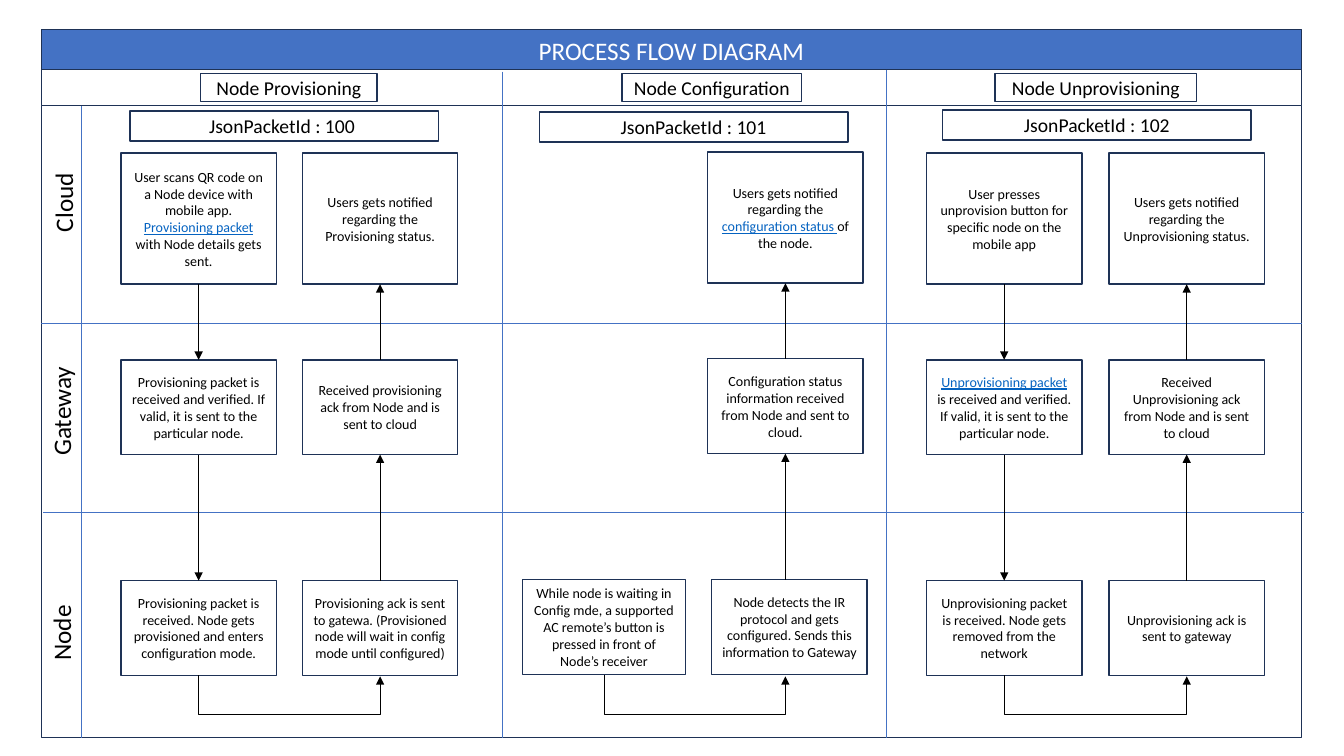
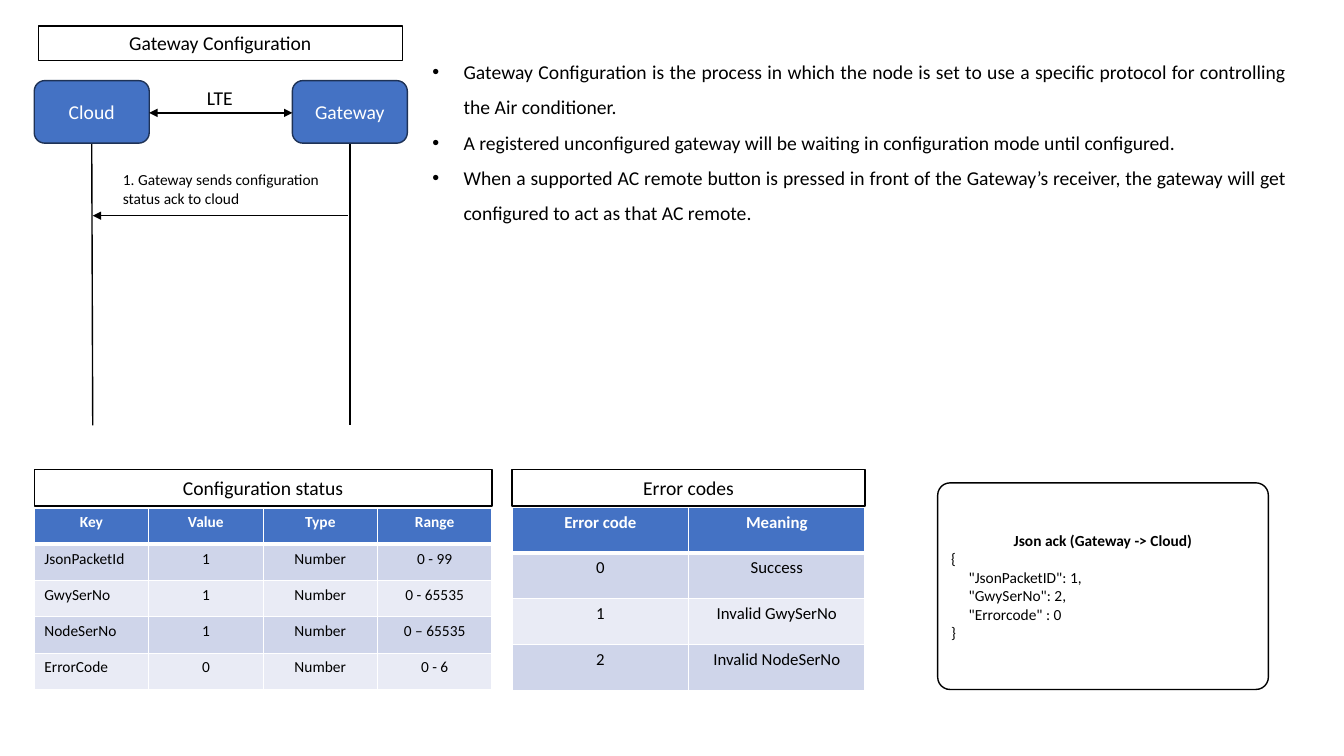
from dataclasses import dataclass
from typing import NamedTuple, Optional

from lxml.etree import SubElement
from pptx import Presentation
from pptx.dml.color import RGBColor
from pptx.enum.shapes import MSO_CONNECTOR as Link, MSO_SHAPE as Shape
from pptx.enum.text import MSO_ANCHOR as Anchor, PP_ALIGN as Align
from pptx.oxml.ns import qn
from pptx.util import Inches, Pt

FONT = "Calibri"
COLORS = {
    "blue": "4472C4", "navy": "1E3256", "black": "000000", "white": "FFFFFF",
    "link": "0563C1", "band": "CFD5EA", "pale": "E9EBF5",
}


class Span(NamedTuple):
    text: str
    linked: bool = False


class Area(NamedTuple):
    left: float
    top: float
    width: float
    height: float


@dataclass
class Step:
    lane: str
    left: float
    spans: list[Span]
    width: float = 1.54


@dataclass
class Flow:
    title: str
    title_left: float
    title_width: float
    packet: str
    packet_left: float
    packet_top: float
    shift: float  # vertical offset of the steps
    down_x: float
    up_x: float
    has_down: bool
    steps: list[Step]


@dataclass
class Grid:
    title: str
    left: float
    top: float
    column: float
    row: float
    size: int
    rows: list[list[str]]
    left_keys: bool


# Shared drawing helpers
def rgb(name: str) -> RGBColor:
    return RGBColor.from_string(COLORS[name])


def lengths(values) -> list:
    return [Inches(value) for value in values]


def add_span(para, text: str, size: int, color: str = "black", bold: bool = False,
             underline: bool = False) -> None:
    run = para.add_run()
    run.text = text
    font = run.font
    font.name, font.size, font.bold = FONT, Pt(size), bold
    font.color.rgb = rgb(color)
    if underline:
        font.underline = True


def write(para, spans: list[Span], size: int, color: str = "black", align=Align.CENTER) -> None:
    para.alignment = align
    for span in spans:
        add_span(para, span.text, size, "link" if span.linked else color,
                 underline=span.linked)


def add_box(page, area: Area, spans: list[Span], size: int = 14, fill: str = "white",
            line: str = "navy", color: str = "black", kind=Shape.RECTANGLE):
    box = page.shapes.add_shape(kind, *lengths(area))
    box.shadow.inherit = False
    box.fill.solid()
    box.fill.fore_color.rgb = rgb(fill)
    box.line.color.rgb = rgb(line)
    box.line.width = Pt(1)
    box.text_frame.word_wrap = True
    box.text_frame.vertical_anchor = Anchor.MIDDLE
    write(box.text_frame.paragraphs[0], spans, size, color)
    return box


def add_label(page, area: Area, text: str, size: int, align=Align.CENTER):
    box = page.shapes.add_textbox(*lengths(area))
    box.text_frame.word_wrap = True
    write(box.text_frame.paragraphs[0], [Span(text)], size, align=align)
    return box


def add_line(page, start: tuple, end: tuple, color: str = "black", width: float = 0.5,
             head: bool = False, tail: bool = False, kind=Link.STRAIGHT):
    line = page.shapes.add_connector(kind, *lengths(start + end))
    line.line.color.rgb = rgb(color)
    line.line.width = Pt(width)
    properties = line._element.spPr
    outline = properties.find(qn("a:ln"))
    for tag, wanted in (("a:headEnd", head), ("a:tailEnd", tail)):
        if wanted:
            SubElement(outline, qn(tag)).set("type", "triangle")
    SubElement(properties, qn("a:effectLst"))
    return line


def add_u_turn(page, left: float, right: float, top: float) -> None:
    """Arrow that drops below two steps and rises into the right one."""
    rise, drop = 0.01, 0.39
    middle_x, middle_y, half = (left + right) / 2, top + rise / 2, (right - left) / 2
    turn = add_line(page, (middle_x + rise / 2, middle_y - half),
                    (middle_x - rise / 2, middle_y + half), tail=True, kind=Link.ELBOW)
    properties = turn._element.spPr
    properties.find(qn("a:xfrm")).set("rot", str(270 * 60000))
    geometry = properties.find(qn("a:prstGeom"))
    values = geometry.find(qn("a:avLst"))
    if values is None:
        values = SubElement(geometry, qn("a:avLst"))
    guide = SubElement(values, qn("a:gd"))
    guide.set("name", "adj1")
    guide.set("fmla", f"val {round(drop / rise * 100000)}")


def add_borders(cell, header: bool) -> None:
    properties = cell._tc.get_or_add_tcPr()
    for side in "LRTB":
        width = 3 if header and side == "B" else 1
        border = SubElement(properties, qn(f"a:ln{side}"))
        border.set("w", str(Pt(width)))
        fill = SubElement(border, qn("a:solidFill"))
        SubElement(fill, qn("a:srgbClr")).set("val", COLORS["white"])


def add_grid(page, grid: Grid) -> None:
    row_count, column_count = len(grid.rows), len(grid.rows[0])
    width = grid.column * column_count
    area = Area(grid.left, grid.top, width, grid.row * row_count)
    table = page.shapes.add_table(row_count, column_count, *lengths(area)).table
    for row, texts in enumerate(grid.rows):
        header = row == 0
        fill = "blue" if header else ("pale", "band")[row % 2]
        for column, text in enumerate(texts):
            cell = table.cell(row, column)
            add_borders(cell, header)
            cell.fill.solid()
            cell.fill.fore_color.rgb = rgb(fill)
            para = cell.text_frame.paragraphs[0]
            keyed = grid.left_keys and column == 0 and not header
            para.alignment = Align.LEFT if keyed else Align.CENTER
            add_span(para, text, grid.size, "white" if header else "black", header)
    add_box(page, Area(grid.left, 4.66, width, 0.36), [Span(grid.title)], line="black")


# Process flow content
LANES = {"Cloud": (1.52, 1.3), "Gateway": (3.57, 0.94), "Node": (5.76, 0.94)}
LANE_LABELS = {"Cloud": (-0.1, 1.81), "Gateway": (-0.12, 3.88), "Node": (-0.12, 6.08)}
FLOWS = [
    Flow("Node Provisioning", 1.99, 1.75, "JsonPacketId : 100 ", 1.29, 1.1, 0, 1.97, 3.77, True, [
        Step("Cloud", 1.2, [Span("User scans QR code on a Node device with mobile app. "),
                            Span("Provisioning packet ", True),
                            Span("with Node details gets sent.")]),
        Step("Gateway", 1.2, [Span("Provisioning packet is received and verified. If valid, "
                                   "it is sent to the particular node.")]),
        Step("Node", 1.2, [Span("Provisioning packet is received. Node gets provisioned and "
                                "enters configuration mode.")]),
        Step("Node", 3, [Span("Provisioning ack is sent to gatewa. (Provisioned node will "
                              "wait in config mode until configured)")]),
        Step("Gateway", 3, [Span("Received provisioning ack from Node and is sent to cloud")]),
        Step("Cloud", 3, [Span("Users gets notified regarding the Provisioning status.")]),
    ]),
    Flow("Node Configuration", 6.17, 1.78, "JsonPacketId : 101", 5.35, 1.11, -0.01, 5.99, 7.79,
         False, [
             Step("Node", 5.18, [Span("While node is waiting in Config mde, a supported AC "
                                      "remote’s button is pressed in front of Node’s "
                                      "receiver")], 1.62),
             Step("Node", 7.06, [Span("Node detects the IR protocol and gets configured. Sends "
                                      "this information to Gateway")]),
             Step("Gateway", 7.02, [Span("Configuration status information received from Node "
                                         "and sent to cloud.")]),
             Step("Cloud", 7.02, [Span("Users gets notified regarding the "),
                                  Span("configuration status ", True), Span("of the node.")]),
         ]),
    Flow("Node Unprovisioning", 9.87, 2, "JsonPacketId : 102", 9.35, 1.09, 0, 9.96, 11.77, True, [
        Step("Cloud", 9.19, [Span("User presses unprovision button for specific node on the "
                                  "mobile app")]),
        Step("Gateway", 9.19, [Span("Unprovisioning packet ", True),
                               Span("is received and verified. If valid, it is sent to the "
                                    "particular node.")]),
        Step("Node", 9.19, [Span("Unprovisioning packet is received. Node gets removed from "
                                 "the network")]),
        Step("Node", 11, [Span("Unprovisioning ack is sent to gateway")]),
        Step("Gateway", 11, [Span("Received Unprovisioning ack from Node and is sent to cloud")]),
        Step("Cloud", 11, [Span("Users gets notified regarding the Unprovisioning status.")]),
    ]),
]


def add_flow(page, flow: Flow) -> None:
    add_box(page, Area(flow.title_left, 0.73, flow.title_width, 0.28), [Span(flow.title)])
    add_box(page, Area(flow.packet_left, flow.packet_top, 3.06, 0.3), [Span(flow.packet)])
    for step in flow.steps:
        top, height = LANES[step.lane]
        add_box(page, Area(step.left, top + flow.shift, step.width, height), step.spans, 10)
    lanes = list(LANES.values())
    for (top, height), (next_top, _) in zip(lanes, lanes[1:]):
        upper, lower = top + height + flow.shift, next_top + flow.shift
        if flow.has_down:
            add_line(page, (flow.down_x, upper), (flow.down_x, lower), tail=True)
        add_line(page, (flow.up_x, lower), (flow.up_x, upper), tail=True)
    add_u_turn(page, flow.down_x, flow.up_x, 6.7)


def build_process(page) -> None:
    # Frame, lanes and columns
    add_box(page, Area(0.41, 0.29, 12.5, 0.42), [Span("PROCESS FLOW DIAGRAM")], 18, "blue",
            color="white")
    for top, height in ((1.05, 6.27), (0.69, 0.36)):
        add_box(page, Area(0.41, top, 12.5, height), [])
    for left, y in ((0.41, 3.21), (0.43, 5.08)):
        add_line(page, (left, y), (left + 12.5, y), "blue")
    for x, top in ((0.81, 1.05), (4.98, 0.71), (8.79, 0.69)):
        add_line(page, (x, top), (x, 7.32), "blue")
    for lane, (left, top) in LANE_LABELS.items():
        add_label(page, Area(left, top, 1.45, 0.4), lane, 18).rotation = 270
    for flow in FLOWS:
        add_flow(page, flow)


# Gateway configuration content
GRIDS = [
    Grid("Configuration status", 0.34, 5.04, 1.135, 0.36, 11, [
        ["Key", "Value", "Type", "Range"],
        ["JsonPacketId", "1", "Number", "0 - 99"],
        ["GwySerNo", "1", "Number", "0 - 65535"],
        ["NodeSerNo", "1", "Number", "0 – 65535"],
        ["ErrorCode", "0", "Number", "0 - 6"],
    ], True),
    Grid("Error codes", 5.08, 5.03, 1.75, 0.455, 12, [
        ["Error code", "Meaning"],
        ["0", "Success"],
        ["1", "Invalid GwySerNo"],
        ["2", "Invalid NodeSerNo"],
    ], False),
]
POINTS = [
    "Gateway Configuration is the process in which the node is set to use a specific protocol "
    "for controlling the Air conditioner.",
    "A registered unconfigured gateway will be waiting in configuration mode until configured.",
    "When a supported AC remote button is pressed in front of the Gateway’s receiver, the "
    "gateway will get configured to act as that AC remote.",
]
ACK_LINES = ["{", '     "JsonPacketID": 1,', '     "GwySerNo": 2,', '     "Errorcode" : 0', "}"]


def add_points(page) -> None:
    frame = page.shapes.add_textbox(*lengths(Area(4.19, 0.43, 8.67, 1.83))).text_frame
    frame.word_wrap = True
    para: Optional[object] = None
    for point in POINTS:
        para = frame.add_paragraph() if para else frame.paragraphs[0]
        para.line_spacing = 1.5
        properties = para._p.get_or_add_pPr()
        properties.set("marL", str(Inches(0.31)))
        properties.set("indent", str(Inches(-0.31)))
        SubElement(properties, qn("a:buFont")).set("typeface", "Arial")
        SubElement(properties, qn("a:buChar")).set("char", "•")
        write(para, [Span(point)], 14, align=Align.JUSTIFY)


def build_gateway(page) -> None:
    # Sequence diagram
    heading = add_box(page, Area(0.38, 0.26, 3.61, 0.34), [Span("Gateway Configuration")],
                      line="black")
    heading.text_frame.vertical_anchor = Anchor.TOP
    for name, left, end_x in (("Cloud", 0.34, 0.92), ("Gateway", 2.9, 3.47)):
        add_line(page, (left + 0.57, 1.43), (end_x, 4.22), width=1)
        add_box(page, Area(left, 0.8, 1.14, 0.62), [Span(name)], fill="blue", color="white",
                kind=Shape.ROUNDED_RECTANGLE)
    add_line(page, (1.48, 1.12), (2.9, 1.12), width=1, head=True, tail=True)
    add_label(page, Area(1.76, 0.8, 0.84, 0.34), "LTE", 14)
    add_line(page, (3.45, 2.14), (0.92, 2.14), width=1, tail=True)
    add_label(page, Area(1.12, 1.64, 2.29, 0.47),
              "1. Gateway sends configuration status ack to cloud", 11, Align.LEFT)
    add_points(page)
    for grid in GRIDS:
        add_grid(page, grid)
    # Acknowledgement message
    panel = add_box(page, Area(9.3, 4.79, 3.28, 2.05), [], line="black",
                    kind=Shape.ROUNDED_RECTANGLE)
    panel.adjustments[0] = 0.06
    add_span(panel.text_frame.paragraphs[0], "Json ack (Gateway -> Cloud)", 11, bold=True)
    for text in ACK_LINES:
        write(panel.text_frame.add_paragraph(), [Span(text)], 11, align=Align.JUSTIFY)


def main() -> None:
    deck = Presentation()
    deck.slide_width, deck.slide_height = Inches(13.33), Inches(7.5)
    for build in (build_process, build_gateway):
        build(deck.slides.add_slide(deck.slide_layouts[6]))
    deck.save("out.pptx")


if __name__ == "__main__":
    main()
